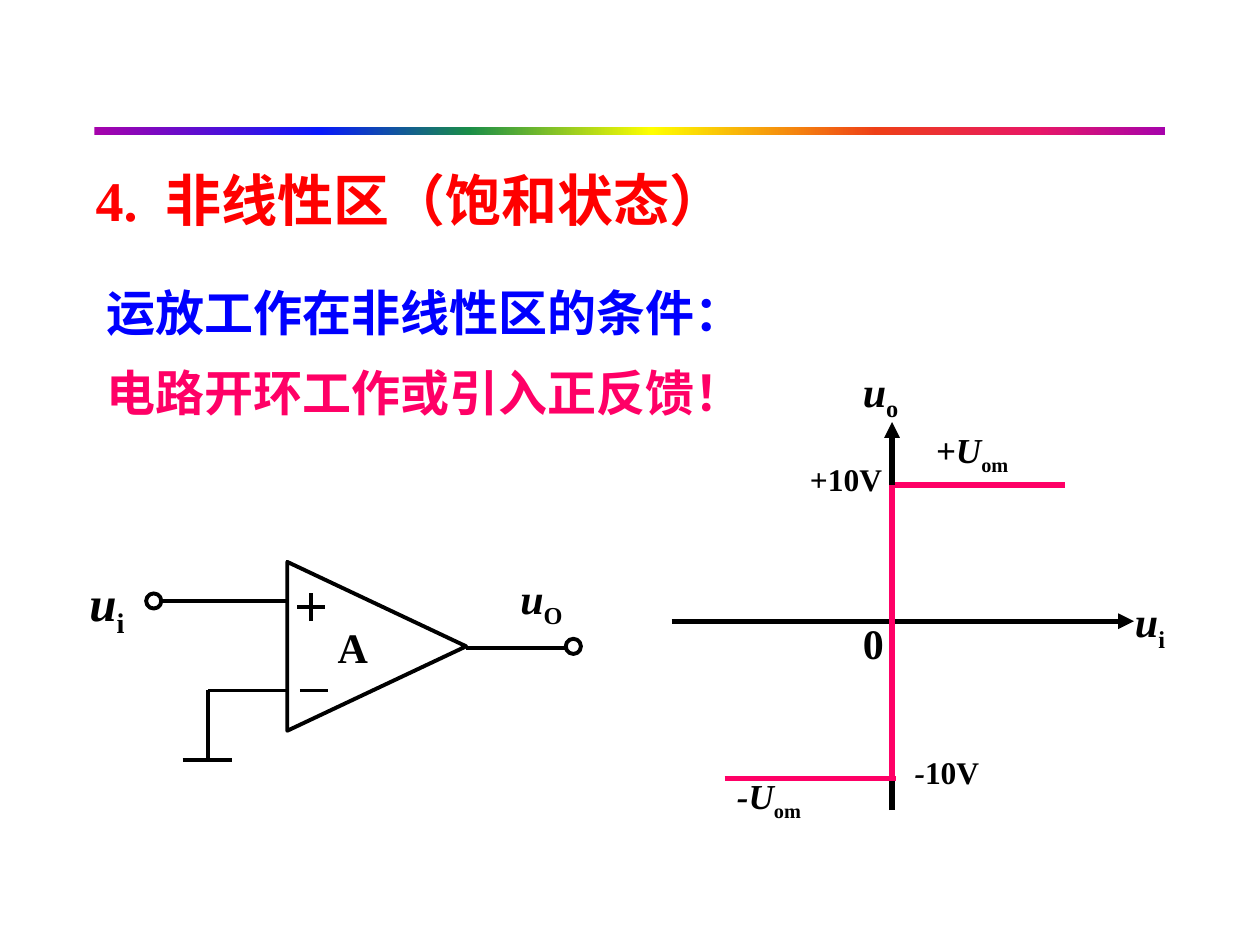
"""Build a slide on the saturation region of an operational amplifier."""
from dataclasses import dataclass

from lxml.etree import SubElement
from pptx import Presentation
from pptx.dml.color import RGBColor
from pptx.enum.shapes import MSO_CONNECTOR, MSO_SHAPE
from pptx.enum.text import MSO_ANCHOR, MSO_AUTO_SIZE, PP_ALIGN
from pptx.oxml.ns import qn
from pptx.util import Inches, Pt

FONT = "Times New Roman"
COLORS = {
    "black": "000000",
    "white": "FFFFFF",
    "red": "FF0000",
    "blue": "0000FF",
    "pink": "FF0066",
}
RAINBOW = [(0, "A603AB"), (21, "0819FB"), (35, "1A8D48"), (52, "FFFF00"),
           (73, "EE3F17"), (88, "E81766"), (100, "A603AB")]


@dataclass(frozen=True)
class Line:
    start: tuple[float, float]
    end: tuple[float, float]
    color: str = "black"
    width: float = 2.25
    arrow: bool = False


@dataclass(frozen=True)
class Label:
    box: tuple[float, float, float, float]
    size: float
    italic: str = ""
    upright: str = ""
    subscript: str = ""
    tight: bool = False


ORIGIN_X, AXIS_Y, HIGH_Y, LOW_Y = 7.08, 4.93, 3.85, 6.18
PLUS_X, PLUS_Y, PLUS_ARM = 2.47, 4.82, 0.11
INPUT_Y, GROUND_Y, GROUND_X, OUTPUT_Y = 4.77, 5.48, 1.65, 5.14
EDGE_X, TERMINAL_SIZE = 2.28, 0.12

CURVE_LINES = [
    Line((ORIGIN_X, HIGH_Y), (8.45, HIGH_Y), "pink", 3),
    Line((5.33, AXIS_Y), (9, AXIS_Y), "black", 3, True),
    Line((ORIGIN_X, 6.43), (ORIGIN_X, 3.35), "black", 3, True),
    Line((ORIGIN_X, LOW_Y), (ORIGIN_X, HIGH_Y), "pink", 3),
    Line((5.75, LOW_Y), (7.11, LOW_Y), "pink", 3),
]
CIRCUIT_LINES = [
    Line((2.38, GROUND_Y), (2.6, GROUND_Y)),
    Line((PLUS_X - PLUS_ARM, PLUS_Y), (PLUS_X + PLUS_ARM, PLUS_Y)),
    Line((PLUS_X, PLUS_Y + PLUS_ARM), (PLUS_X, PLUS_Y - PLUS_ARM)),
    Line((GROUND_X, GROUND_Y), (EDGE_X, GROUND_Y)),
    Line((GROUND_X, GROUND_Y), (GROUND_X, 6.03)),
    Line((1.45, 6.03), (1.84, 6.03)),
    Line((1.26, INPUT_Y), (EDGE_X, INPUT_Y)),
    Line((3.7, OUTPUT_Y), (4.57, OUTPUT_Y)),
]
TERMINALS = [(1.16, 4.71), (4.49, 5.07)]
LABELS = [
    Label((6.33, 3.6, 0.92, 0.4), 18, upright="+10V"),
    Label((7.16, 5.93, 0.92, 0.4), 18, italic="-", upright="10V"),
    Label((7.33, 3.35, 0.92, 0.43), 20, italic="+U", subscript="om"),
    Label((5.75, 6.1, 0.92, 0.43), 20, italic="-U", subscript="om"),
    Label((6.75, 4.85, 0.42, 0.5), 24, upright="0"),
    Label((6.75, 2.85, 0.67, 0.5), 24, italic="u", subscript="o"),
    Label((8.91, 4.68, 0.67, 0.5), 24, italic="u", subscript="i"),
    Label((2.68, 4.93, 0.24, 0.4), 24, upright="A", tight=True),
    Label((0.71, 4.54, 0.29, 0.47), 28, italic="u", subscript="i", tight=True),
    Label((4.13, 4.54, 0.36, 0.4), 24, italic="u", subscript="O", tight=True),
]


def color_of(name: str) -> RGBColor:
    return RGBColor.from_string(COLORS[name])


def add_run(paragraph, text: str, size: float, color: str = "black", italic: bool = False):
    run = paragraph.add_run()
    run.text = text
    font = run.font
    font.name, font.size, font.bold, font.italic = FONT, Pt(size), True, italic
    font.color.rgb = color_of(color)
    return run


def add_rainbow(slide) -> None:
    shape = slide.shapes.add_shape(
        MSO_SHAPE.RECTANGLE, Inches(0.75), Inches(1.01), Inches(8.5), Inches(0.06))
    shape.shadow.inherit = False
    shape.line.fill.background()
    shape.fill.gradient()
    shape.fill.gradient_angle = 0
    stops = shape._element.spPr.find(qn("a:gradFill")).find(qn("a:gsLst"))
    for stop in list(stops):
        stops.remove(stop)
    for position, color in RAINBOW:
        stop = SubElement(stops, qn("a:gs"), pos=str(position * 1000))
        SubElement(stop, qn("a:srgbClr"), val=color)


def add_title(slide) -> None:
    title = slide.shapes.title
    title.left, title.top = Inches(0.66), Inches(1.26)
    title.width, title.height = Inches(7.83), Inches(0.63)
    frame = title.text_frame
    frame.auto_size = MSO_AUTO_SIZE.NONE
    frame.vertical_anchor = MSO_ANCHOR.TOP
    paragraph = frame.paragraphs[0]
    paragraph.alignment = PP_ALIGN.LEFT
    add_run(paragraph, "4.", 32, "red")
    gap = add_run(paragraph, " ", 32, "red")
    gap.font._element.set("spc", "800")
    add_run(paragraph, "非线性区（饱和状态）", 32, "red")


def add_conditions(slide) -> None:
    box = slide.shapes.add_textbox(Inches(0.75), Inches(2.1), Inches(5.75), Inches(1.32))
    frame = box.text_frame
    frame.word_wrap = True
    statements = [("运放工作在非线性区的条件：", "blue"), ("电路开环工作或引入正反馈！", "pink")]
    for index, (text, color) in enumerate(statements):
        paragraph = frame.add_paragraph() if index else frame.paragraphs[0]
        paragraph.line_spacing = 1.2
        paragraph.space_before = Pt(5.6)
        add_run(paragraph, text, 28, color)


def add_line(slide, line: Line) -> None:
    points = [Inches(value) for value in (*line.start, *line.end)]
    connector = slide.shapes.add_connector(MSO_CONNECTOR.STRAIGHT, *points)
    connector.line.color.rgb = color_of(line.color)
    connector.line.width = Pt(line.width)
    properties = connector._element.spPr
    if line.arrow:
        SubElement(properties.find(qn("a:ln")), qn("a:tailEnd"), type="triangle")
    SubElement(properties, qn("a:effectLst"))


def add_outline(slide, kind: MSO_SHAPE, box: tuple[float, float, float, float],
                rotation: float = 0) -> None:
    shape = slide.shapes.add_shape(kind, *[Inches(value) for value in box])
    shape.rotation = rotation
    shape.shadow.inherit = False
    shape.fill.solid()
    shape.fill.fore_color.rgb = color_of("white")
    shape.line.color.rgb = color_of("black")
    shape.line.width = Pt(2.25)


def add_label(slide, label: Label) -> None:
    box = slide.shapes.add_textbox(*[Inches(value) for value in label.box])
    frame = box.text_frame
    frame.word_wrap = not label.tight
    if label.tight:
        frame.margin_left = frame.margin_right = 0
        frame.margin_top = frame.margin_bottom = 0
    paragraph = frame.paragraphs[0]
    if label.italic:
        add_run(paragraph, label.italic, label.size, italic=True)
    if label.upright:
        add_run(paragraph, label.upright, label.size)
    if label.subscript:
        run = add_run(paragraph, label.subscript, label.size)
        run.font._element.set("baseline", "-25000")


def main() -> None:
    presentation = Presentation()
    presentation.slide_width, presentation.slide_height = Inches(10), Inches(7.5)
    slide = presentation.slides.add_slide(presentation.slide_layouts[5])
    add_rainbow(slide)
    add_title(slide)
    add_conditions(slide)
    for line in CURVE_LINES:
        add_line(slide, line)
    add_outline(slide, MSO_SHAPE.ISOSCELES_TRIANGLE, (2.32, 4.42, 1.34, 1.42), 90)
    for line in CIRCUIT_LINES:
        add_line(slide, line)
    for left, top in TERMINALS:
        add_outline(slide, MSO_SHAPE.OVAL, (left, top, TERMINAL_SIZE, TERMINAL_SIZE))
    for label in LABELS:
        add_label(slide, label)
    presentation.save("out.pptx")


if __name__ == "__main__":
    main()
